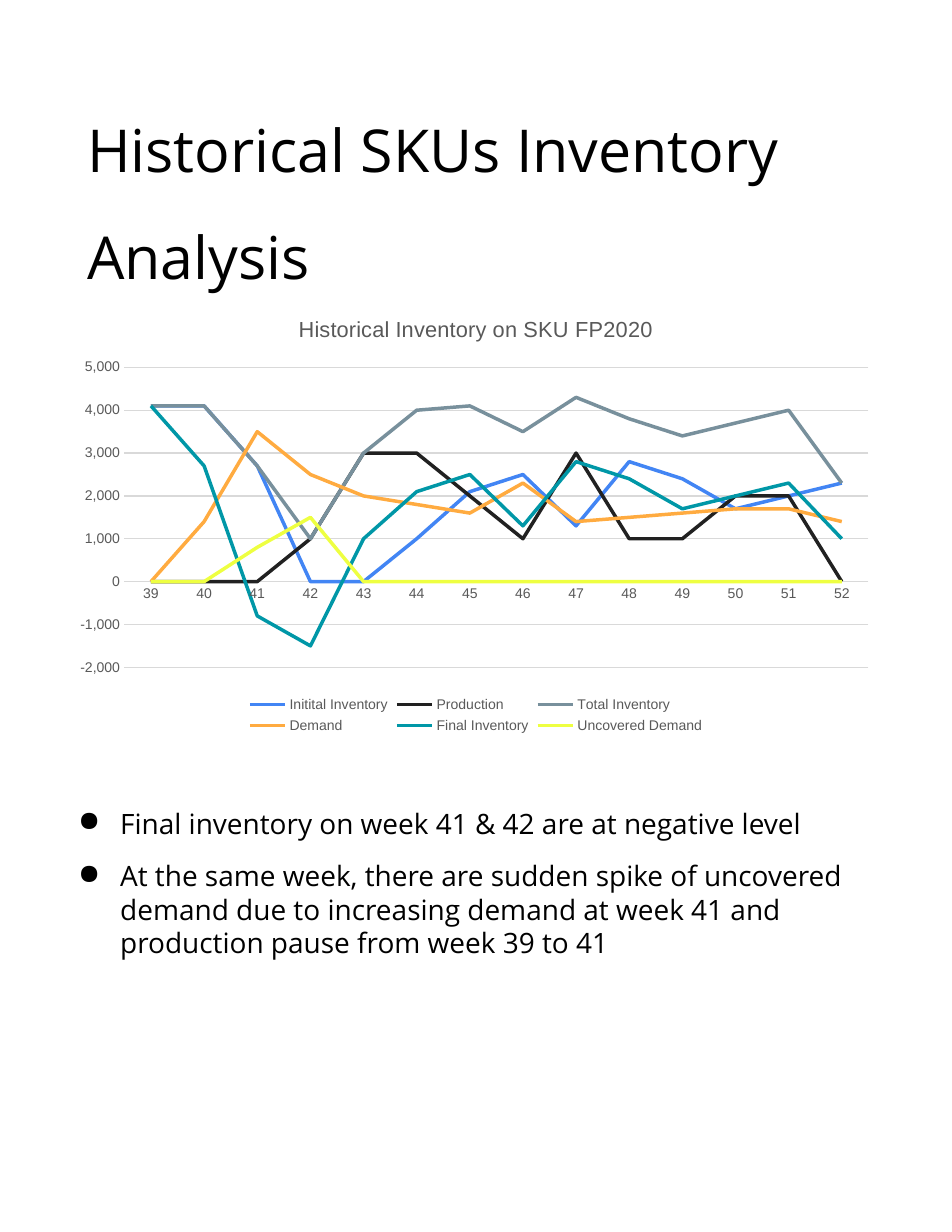
from lxml.etree import SubElement
from pptx import Presentation
from pptx.chart.data import CategoryChartData
from pptx.dml.color import RGBColor
from pptx.enum.chart import XL_CHART_TYPE as ChartType
from pptx.enum.chart import XL_LEGEND_POSITION as LegendPosition
from pptx.enum.chart import XL_TICK_MARK as TickMark
from pptx.oxml.ns import qn
from pptx.util import Pt

COLORS = {
    "text": "000000",
    "label": "595959",
    "grid": "D9D9D9",
    "Initital Inventory": "4285F4",
    "Production": "212121",
    "Total Inventory": "78909C",
    "Demand": "FFAB40",
    "Final Inventory": "0097A7",
    "Uncovered Demand": "EEFF41",
}
TEXT_FONT, CHART_FONT = "Open Sans", "Arial"
LEFT, WIDTH = 43.2, 525.6

TITLE = "Historical SKUs Inventory Analysis"
CHART_TITLE = "Historical Inventory on SKU FP2020"
FINDINGS = [
    "Final inventory on week 41 & 42 are at negative level",
    "At the same week, there are sudden spike of uncovered demand due to "
    "increasing demand at week 41 and production pause from week 39 to 41",
]
WEEKS = [str(week) for week in range(39, 53)]
INVENTORY = {
    "Initital Inventory": [4100, 4100, 2700, 0, 0, 1000, 2100, 2500, 1300,
                           2800, 2400, 1700, 2000, 2300],
    "Production": [0, 0, 0, 1000, 3000, 3000, 2000, 1000, 3000,
                   1000, 1000, 2000, 2000, 0],
    "Total Inventory": [4100, 4100, 2700, 1000, 3000, 4000, 4100, 3500, 4300,
                        3800, 3400, 3700, 4000, 2300],
    "Demand": [0, 1400, 3500, 2500, 2000, 1800, 1600, 2300, 1400,
               1500, 1600, 1700, 1700, 1400],
    "Final Inventory": [4100, 2700, -800, -1500, 1000, 2100, 2500, 1300, 2800,
                        2400, 1700, 2000, 2300, 1000],
    "Uncovered Demand": [0, 0, 800, 1500] + [0] * 10,
}


def rgb(name):
    return RGBColor.from_string(COLORS[name])


def style_font(font, name, size, color):
    font.name = name
    font.size = Pt(size)
    font.bold = False
    font.color.rgb = rgb(color)


def style_line(line, color, width):
    line.color.rgb = rgb(color)
    line.width = Pt(width)


def add_text(slide, top, height, lines, size):
    box = slide.shapes.add_textbox(Pt(LEFT), Pt(top), Pt(WIDTH), Pt(height))
    frame = box.text_frame
    frame.word_wrap = True
    frame.margin_left = frame.margin_right = Pt(7.2)
    frame.margin_top = frame.margin_bottom = Pt(7.2)
    frame.text = "\n".join(lines)
    for paragraph in frame.paragraphs:
        style_font(paragraph.runs[0].font, TEXT_FONT, size, "text")
    return frame.paragraphs


def indent(paragraph, margin, first_line=0):
    properties = paragraph._p.get_or_add_pPr()
    properties.set("marL", str(Pt(margin)))
    properties.set("indent", str(Pt(first_line)))
    return properties


def add_bullet(paragraph):
    paragraph.space_after = Pt(12)
    properties = indent(paragraph, 27, -27)
    color = SubElement(properties, qn("a:buClr"))
    SubElement(color, qn("a:srgbClr"), val=COLORS["text"])
    SubElement(properties, qn("a:buChar"), char="●")


def place_plot(chart, **fractions):
    """Fix the inner plot area as fractions of the chart."""
    plot_area = chart._chartSpace.chart.plotArea
    for automatic in plot_area.findall(qn("c:layout")):
        plot_area.remove(automatic)
    layout = SubElement(plot_area, qn("c:layout"))
    plot_area.insert(0, layout)
    manual = SubElement(layout, qn("c:manualLayout"))
    settings = {"layoutTarget": "inner", "xMode": "edge", "yMode": "edge"}
    for tag, value in {**settings, **fractions}.items():
        SubElement(manual, qn(f"c:{tag}"), val=str(value))


def style_axes(chart):
    weeks, units = chart.category_axis, chart.value_axis
    for axis in (weeks, units):
        axis.major_tick_mark = axis.minor_tick_mark = TickMark.NONE
        style_font(axis.tick_labels.font, CHART_FONT, 9, "label")
    style_line(weeks.format.line, "grid", 0.75)
    units.format.line.fill.background()
    units.minimum_scale, units.maximum_scale = -2000, 5000
    units.major_unit = 1000
    units.tick_labels.number_format = "#,##0"
    units.tick_labels.number_format_is_linked = False
    style_line(units.major_gridlines.format.line, "grid", 0.75)


def add_inventory_chart(slide):
    data = CategoryChartData(number_format="#,##0")
    data.categories = WEEKS
    for name, values in INVENTORY.items():
        data.add_series(name, values)
    chart = slide.shapes.add_chart(
        ChartType.LINE, Pt(LEFT), Pt(190.8), Pt(WIDTH), Pt(283.7), data).chart
    style_font(chart.font, CHART_FONT, 10, "text")

    # Heading and legend
    chart.has_title = True
    heading = chart.chart_title.text_frame
    heading.text = CHART_TITLE
    style_font(heading.paragraphs[0].runs[0].font, CHART_FONT, 14, "label")
    chart.has_legend = True
    chart.legend.position = LegendPosition.BOTTOM
    chart.legend.include_in_layout = False
    style_font(chart.legend.font, CHART_FONT, 9, "label")

    # Axes and lines
    style_axes(chart)
    place_plot(chart, x=0.07, y=0.16, w=0.91, h=0.68)
    chart.plots[0].vary_by_categories = False
    for series in chart.plots[0].series:
        series.smooth = False
        style_line(series.format.line, series.name, 2.25)


def main():
    deck = Presentation()
    deck.slide_width, deck.slide_height = Pt(612), Pt(792)
    slide = deck.slides.add_slide(deck.slide_layouts[6])

    # Findings below the chart
    for finding in add_text(slide, 511.2, 126, FINDINGS, 18):
        add_bullet(finding)

    # Slide title
    title = add_text(slide, 43.2, 152.6, [TITLE], 38)[0]
    title.line_spacing = 1.5
    indent(title, 5.8)

    add_inventory_chart(slide)
    deck.save("out.pptx")


if __name__ == "__main__":
    main()
